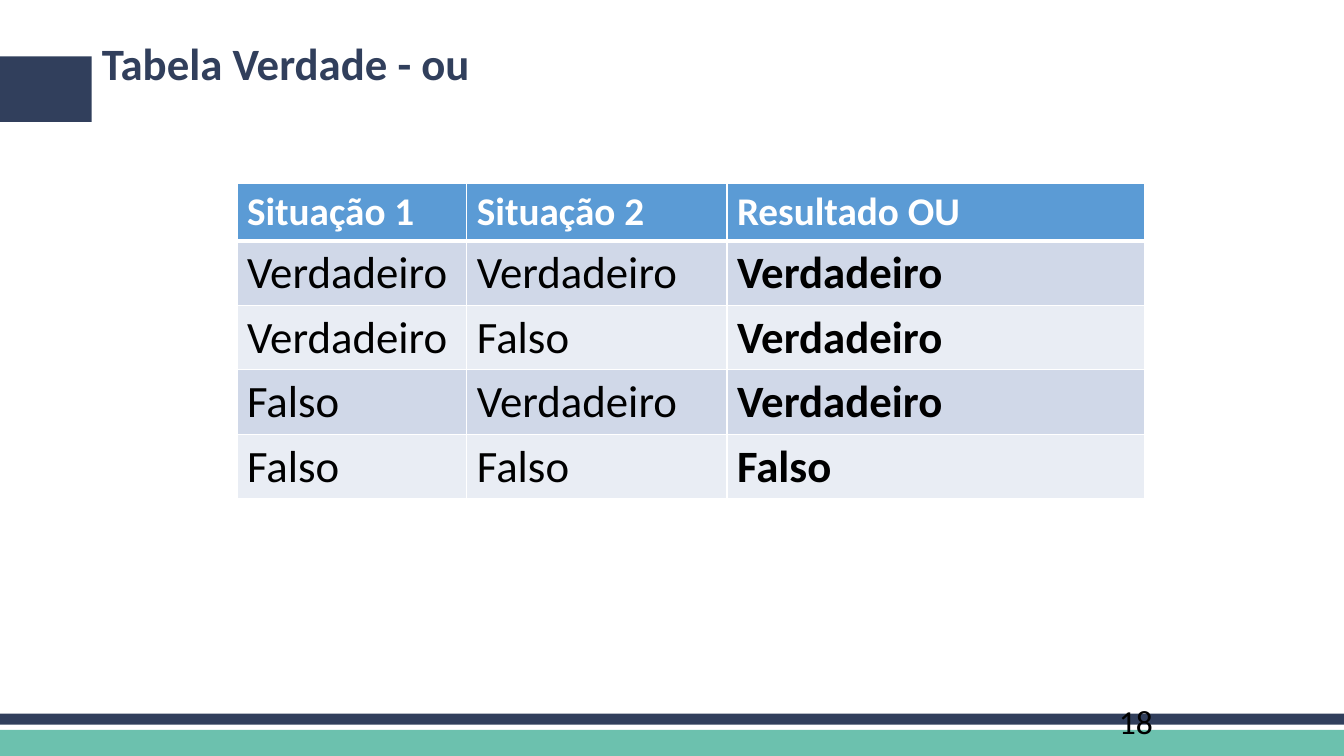
from lxml.etree import SubElement
from pptx import Presentation
from pptx.dml.color import RGBColor
from pptx.enum.shapes import MSO_SHAPE
from pptx.enum.text import MSO_ANCHOR, MSO_AUTO_SIZE, PP_ALIGN
from pptx.oxml.ns import qn
from pptx.util import Inches, Pt

THEME = {
    "font": "Calibri",
    "navy": "313F5C", "teal": "6CC1AE", "blue": "5B9BD5",
    "bands": ("D0D8E8", "E9EDF4"), "white": "FFFFFF", "black": "000000",
    "title": 32, "header": 28, "body": 32, "number": 24,
}
HEADERS = ("Situação 1", "Situação 2", "Resultado OU")
TRUTH = {True: "Verdadeiro", False: "Falso"}
COL_WIDTHS = (2.28, 2.58, 4.14)
HEADER_HEIGHT, BODY_HEIGHT = 0.57, 0.64


def write(tf, text, size, color, bold=False):
    p = tf.paragraphs[0]
    p.alignment = PP_ALIGN.LEFT
    r = p.add_run()
    r.text = text
    font = {"name": THEME["font"], "size": Pt(size), "bold": bold}
    for key, value in font.items():
        setattr(r.font, key, value)
    r.font.color.rgb = RGBColor.from_string(color)
    return p


def add_border(cell, side, points):
    """Draw one white edge of a cell; side is L, R, T or B."""
    tcPr = cell._tc.get_or_add_tcPr()
    ln = SubElement(tcPr, qn(f"a:ln{side}"), w=str(Pt(points)))
    fill = SubElement(ln, qn("a:solidFill"))
    SubElement(fill, qn("a:srgbClr"), val=THEME["white"])


prs = Presentation()
prs.slide_width, prs.slide_height = Inches(13.33), Inches(7.5)
slide = prs.slides.add_slide(prs.slide_layouts[5])

# Footer bands and title tab
for top, width, height, color in (
    (7.24, 13.33, 0.26, "teal"),
    (7.08, 13.33, 0.11, "navy"),
    (0.56, 0.91, 0.65, "navy"),
):
    sp = slide.shapes.add_shape(
        MSO_SHAPE.RECTANGLE, 0, Inches(top), Inches(width), Inches(height))
    sp.shadow.inherit = False
    sp.fill.solid()
    sp.fill.fore_color.rgb = RGBColor.from_string(THEME[color])
    sp.line.fill.background()

# Title
title = slide.shapes.title
box = {"left": 0.91, "top": 0.36, "width": 11.5, "height": 1.05}
for key, value in box.items():
    setattr(title, key, Inches(value))
tf = title.text_frame
frame = {"auto_size": MSO_AUTO_SIZE.NONE, "vertical_anchor": MSO_ANCHOR.TOP}
for key, value in frame.items():
    setattr(tf, key, value)
p = write(tf, "Tabela Verdade - ou", THEME["title"], THEME["navy"], True)
p.line_spacing = 0.9

# Slide number
number = slide.shapes.add_textbox(
    Inches(11), Inches(6.95), Inches(2.33), Inches(0.4))
tf = number.text_frame
tf.word_wrap = True
tf.vertical_anchor = MSO_ANCHOR.MIDDLE
write(tf, "18", THEME["number"], THEME["black"])

# Truth table
rows = [HEADERS] + [
    (TRUTH[a], TRUTH[b], TRUTH[a or b])
    for a in (True, False) for b in (True, False)
]
heights = [HEADER_HEIGHT] + [BODY_HEIGHT] * (len(rows) - 1)
table = slide.shapes.add_table(
    len(rows), len(HEADERS), Inches(2.35), Inches(1.82),
    Inches(sum(COL_WIDTHS)), Inches(sum(heights))).table
for col, width in zip(table.columns, COL_WIDTHS):
    col.width = Inches(width)

for i, (row, height) in enumerate(zip(rows, heights)):
    table.rows[i].height = Inches(height)
    is_header = i == 0
    fill = THEME["blue"] if is_header else THEME["bands"][(i - 1) % 2]
    size = THEME["header" if is_header else "body"]
    color = THEME["white" if is_header else "black"]
    edges = {"L": 1, "R": 1, "T": 3 if i == 1 else 1, "B": 3 if is_header else 1}
    for j, text in enumerate(row):
        cell = table.cell(i, j)
        for side, points in edges.items():
            add_border(cell, side, points)
        cell.fill.solid()
        cell.fill.fore_color.rgb = RGBColor.from_string(fill)
        is_result = j == len(HEADERS) - 1
        write(cell.text_frame, text, size, color, is_header or is_result)

prs.save("out.pptx")
